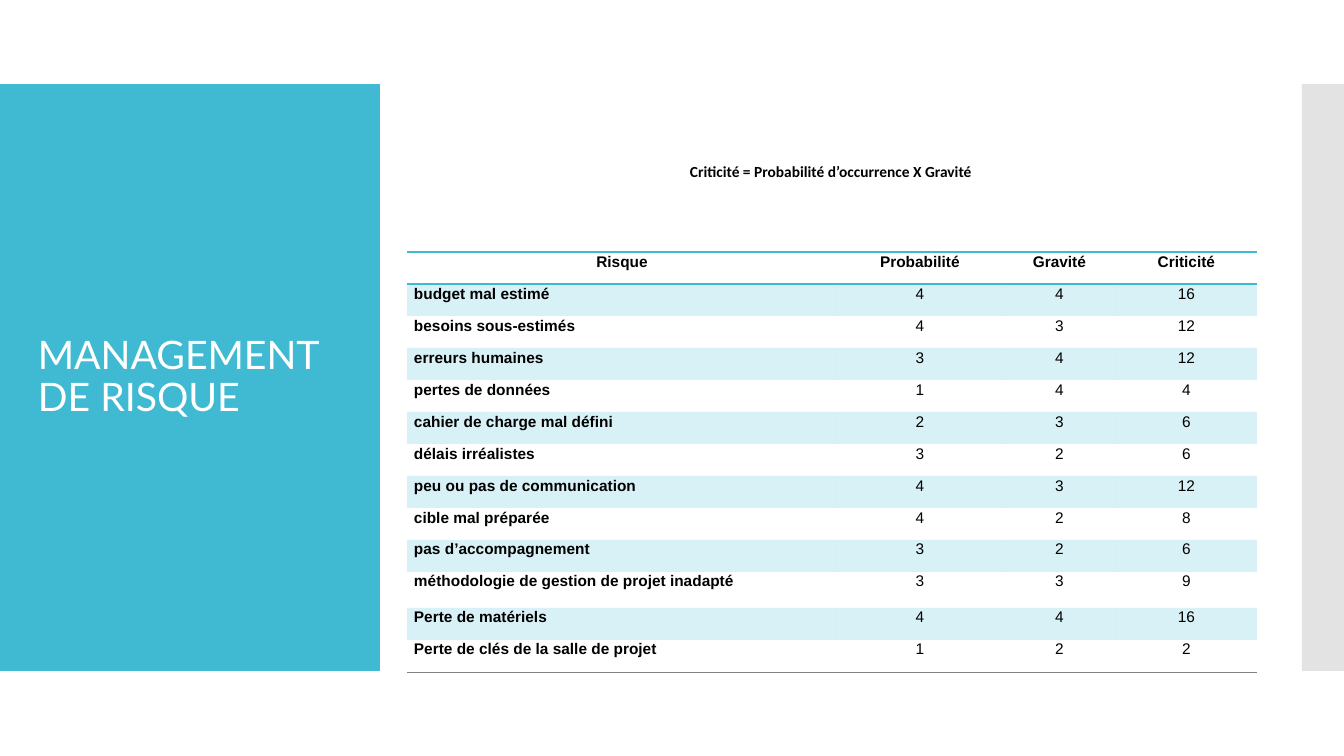
"""Build the risk management slide with its criticality table."""
from lxml.etree import SubElement
from pptx import Presentation
from pptx.dml.color import RGBColor
from pptx.enum.shapes import MSO_SHAPE
from pptx.enum.text import MSO_ANCHOR, PP_ALIGN
from pptx.oxml import parse_xml
from pptx.oxml.ns import nsdecls, qn
from pptx.util import Pt

SCALE = 914400 / 100.8
COLORS = {"teal": "40BAD2", "gray": "C8C8C8", "rule": "808080",
          "white": "FFFFFF", "black": "000000"}
PLAIN = "{2D5ABB26-0587-4C30-8999-92F81FD0307C}"
WIDTHS = [430, 166, 113, 141]
HEADS = ["Risque", "Probabilité", "Gravité", "Criticité"]
RISKS = [
    ("budget mal estimé", 4, 4),
    ("besoins sous-estimés", 4, 3),
    ("erreurs humaines", 3, 4),
    ("pertes de données", 1, 4),
    ("cahier de charge mal défini", 2, 3),
    ("délais irréalistes", 3, 2),
    ("peu ou pas de communication", 4, 3),
    ("cible mal préparée", 4, 2),
    ("pas d’accompagnement", 3, 2),
    ("méthodologie de gestion de projet inadapté", 3, 3),
    ("Perte de matériels", 4, 4),
    ("Perte de clés de la salle de projet", 1, 2),
]
TALL = 10


def px(num):
    return round(num * SCALE)


def box(*dims):
    return [px(num) for num in dims]


def tint(fill, node, color, alpha=100):
    fill.solid()
    fill.fore_color.rgb = RGBColor.from_string(COLORS[color])
    if alpha < 100:
        for tag in node.iter(qn("a:srgbClr")):
            SubElement(tag, qn("a:alpha"), val=str(alpha * 1000))


def write(frame, text, font, size, color, bold=False, align=PP_ALIGN.LEFT, space=1.0):
    para = frame.paragraphs[0]
    para.alignment = align
    para.line_spacing = space
    run = para.add_run()
    run.text = text
    run.font.name = font
    run.font.size = Pt(size)
    run.font.bold = bold
    run.font.color.rgb = RGBColor.from_string(COLORS[color])


def add_panel(slide, dims, color, alpha=100):
    panel = slide.shapes.add_shape(MSO_SHAPE.RECTANGLE, *box(*dims))
    panel.shadow.inherit = False
    panel.line.fill.background()
    tint(panel.fill, panel._element.spPr, color, alpha)


def add_label(slide, dims, *words, **style):
    frame = slide.shapes.add_textbox(*box(*dims)).text_frame
    frame.word_wrap = True
    frame.vertical_anchor = MSO_ANCHOR.MIDDLE
    write(frame, *words, **style)


def add_edge(cell, side, color, width):
    cell._tc.get_or_add_tcPr().insert(0, parse_xml(
        f'<a:{side} {nsdecls("a")} w="{Pt(width)}"><a:solidFill>'
        f'<a:srgbClr val="{COLORS[color]}"/></a:solidFill></a:{side}>'))


def fill_cell(cell, text, row, col):
    cell.margin_left = cell.margin_right = px(7)
    cell.margin_top = cell.margin_bottom = 0
    if row % 2:
        tint(cell.fill, cell._tc, "teal", 20)
    else:
        cell.fill.background()
    if row == 0:
        add_edge(cell, "lnB", "teal", 1)
        add_edge(cell, "lnT", "teal", 1)
    elif row == len(RISKS):
        add_edge(cell, "lnB", "rule", 0.5)
    left = row > 0 and col == 0
    write(cell.text_frame, text, "Arial", 11, "black", bold=row == 0 or col == 0,
          align=PP_ALIGN.LEFT if left else PP_ALIGN.CENTER, space=1.07)


def add_risks(slide):
    rows = [HEADS] + [(name, odds, harm, odds * harm) for name, odds, harm in RISKS]
    frame = slide.shapes.add_table(len(rows), len(HEADS), *box(407, 252, sum(WIDTHS), 420))
    table = frame.table
    table.first_row = table.horz_banding = False
    table._tbl.tblPr.find(qn("a:tableStyleId")).text = PLAIN
    for col, width in enumerate(WIDTHS):
        table.columns[col].width = px(width)
    for row, items in enumerate(rows):
        table.rows[row].height = px(36 if row == TALL else 32)
        for col, item in enumerate(items):
            fill_cell(table.cell(row, col), str(item), row, col)


def main():
    deck = Presentation()
    deck.slide_width, deck.slide_height = box(1344, 756)
    slide = deck.slides.add_slide(deck.slide_layouts[6])
    add_panel(slide, (0, 84, 380, 587), "teal")
    add_panel(slide, (1302, 84, 42, 587), "gray", 50)
    add_label(slide, (28, 124, 325, 507), "MANAGEMENT DE RISQUE", "Lato", 28, "white",
              space=0.9)
    add_risks(slide)
    add_label(slide, (422, 157, 818, 29), "Criticité = Probabilité d’occurrence X Gravité",
              "Calibri", 11, "black", bold=True, align=PP_ALIGN.CENTER)
    deck.save("out.pptx")


main()
